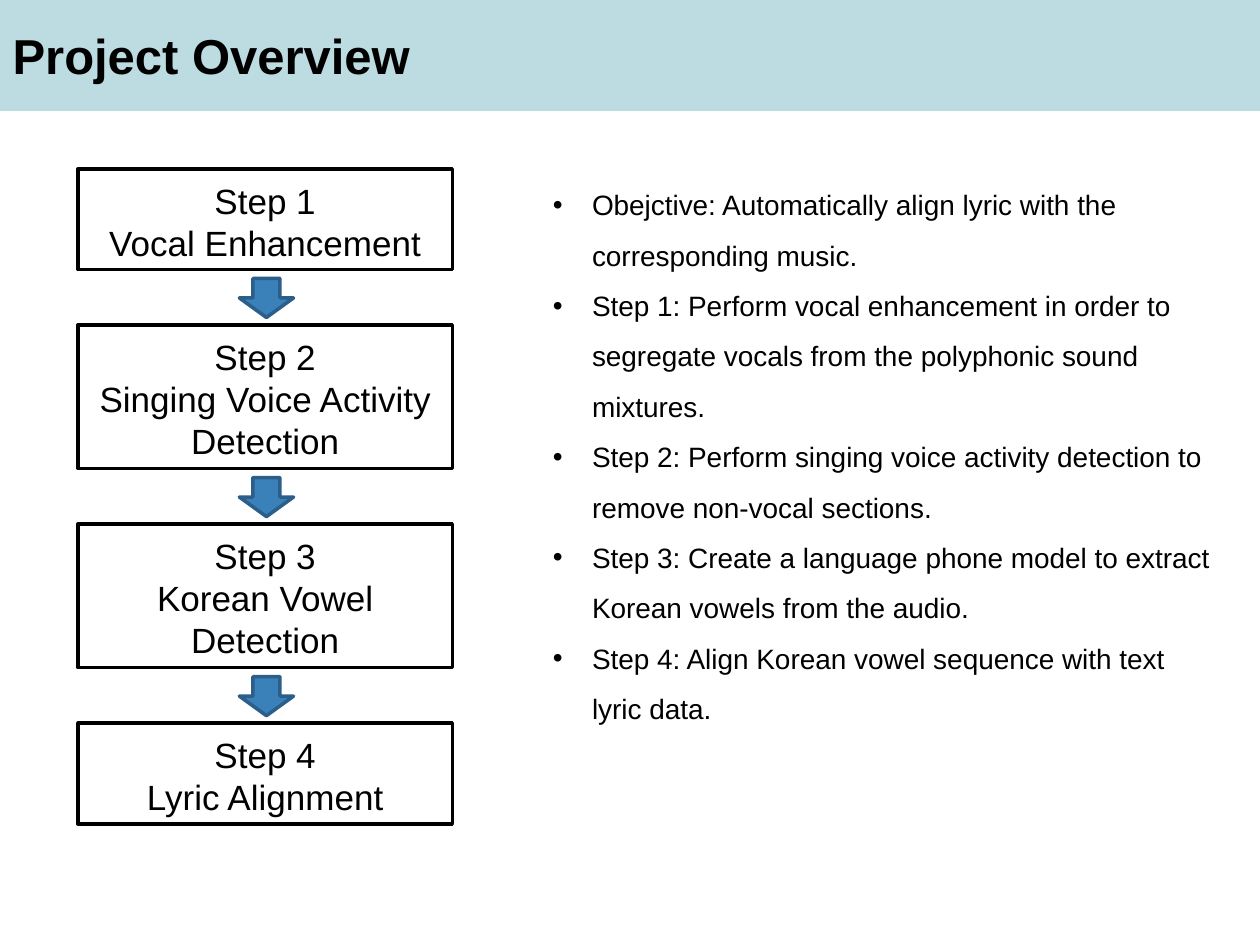
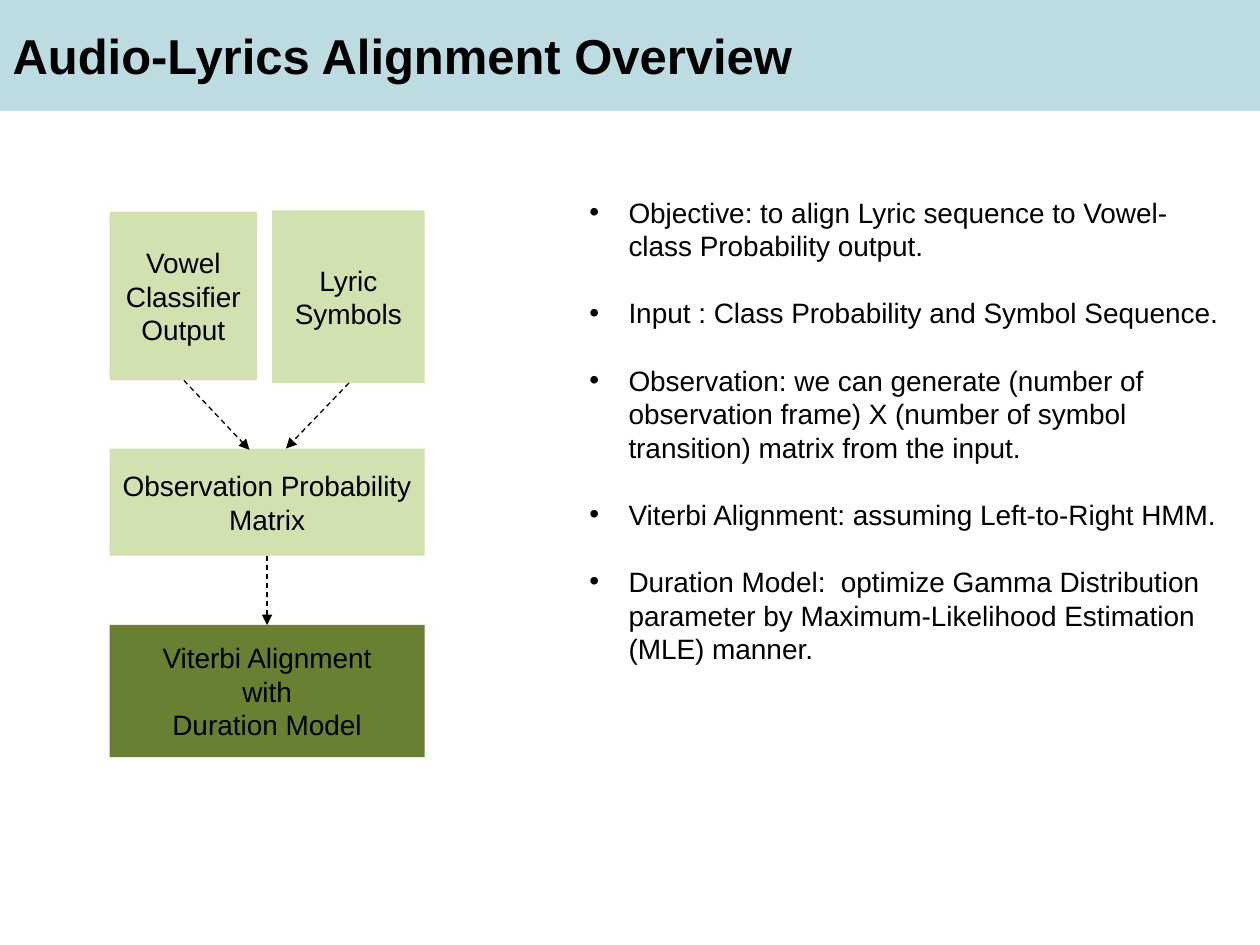
from dataclasses import dataclass

from lxml import etree
from pptx import Presentation
from pptx import util as u
from pptx.dml.color import RGBColor
from pptx.enum import dml, shapes, text
from pptx.oxml import ns


@dataclass(frozen=True)
class Theme:
    font: str = "Arial"
    ink: str = "000000"
    band: str = "BCDCE1"
    arrow: str = "3A81BA"
    arrow_edge: str = "2B5F8A"
    stage: str = "D2E1B0"
    result: str = "688031"
    title_size: float = 28
    step_size: float = 20
    body_size: float = 16
    outline: float = 2
    flow_line: float = 0.75


class Deck:
    def __init__(self, theme):
        self.theme = theme
        self.presentation = Presentation()
        self.presentation.slide_width = u.Inches(10)
        self.presentation.slide_height = u.Inches(7.5)
        self.slide = None

    def add_slide(self, title):
        self.slide = self.presentation.slides.add_slide(self.presentation.slide_layouts[5])
        band = self.slide.shapes.title
        band.left, band.top, band.width, band.height = map(u.Inches, (0, 0, 10, 0.87))
        self.paint(band, self.theme.band, self.theme.band)
        band.text_frame.vertical_anchor = text.MSO_ANCHOR.MIDDLE
        self.set_lines(band, [title], self.theme.title_size, text.PP_ALIGN.LEFT, bold=True)

    def paint(self, shape, fill=None, line=None):
        if fill:
            shape.fill.solid()
            shape.fill.fore_color.rgb = RGBColor.from_string(fill)
        else:
            shape.fill.background()
        if line:
            shape.line.color.rgb = RGBColor.from_string(line)
            shape.line.width = u.Pt(self.theme.outline)
        else:
            shape.line.fill.background()

    def set_lines(self, shape, lines, size, alignment, bold=False, bullet=False, spacing=None, gap=0):
        frame = shape.text_frame
        frame.word_wrap = True
        for index, line in enumerate(lines):
            paragraph = frame.add_paragraph() if index else frame.paragraphs[0]
            paragraph.text = line
            paragraph.alignment = alignment
            if spacing:
                paragraph.line_spacing = spacing
            if index and gap:
                paragraph.space_before = u.Pt(gap)
            if bullet:
                self.add_bullet(paragraph)
            font = paragraph.font
            font.name, font.size, font.bold = self.theme.font, u.Pt(size), bold
            font.color.rgb = RGBColor.from_string(self.theme.ink)

    def add_bullet(self, paragraph):
        properties = paragraph._p.get_or_add_pPr()
        indent = u.Inches(0.31)
        properties.set("marL", str(indent))
        properties.set("indent", str(-indent))
        etree.SubElement(properties, ns.qn("a:buFont"), typeface=self.theme.font)
        etree.SubElement(properties, ns.qn("a:buChar"), char="•")

    def add_preset(self, kind, left, top, width, height, fill=None, line=None):
        shape = self.slide.shapes.add_shape(kind, *map(u.Inches, (left, top, width, height)))
        shape.shadow.inherit = False
        self.paint(shape, fill, line)
        return shape

    def add_box(self, left, top, width, height, lines, size, fill=None, line=None):
        box = self.add_preset(shapes.MSO_SHAPE.RECTANGLE, left, top, width, height, fill, line)
        box.text_frame.vertical_anchor = text.MSO_ANCHOR.MIDDLE
        self.set_lines(box, lines, size, text.PP_ALIGN.CENTER)
        return box

    def add_step(self, left, top, width, height, lines):
        step = self.add_box(left, top, width, height, lines, self.theme.step_size, line=self.theme.ink)
        step.text_frame.margin_top = u.Inches(0.08)

    def add_down_arrow(self, left, top):
        self.add_preset(shapes.MSO_SHAPE.DOWN_ARROW, left, top, 0.43, 0.31,
                        self.theme.arrow, self.theme.arrow_edge)

    def add_flow(self, start, end):
        flow = self.slide.shapes.add_connector(
            shapes.MSO_CONNECTOR.STRAIGHT, *map(u.Inches, start + end))
        flow.line.color.rgb = RGBColor.from_string(self.theme.ink)
        flow.line.width = u.Pt(self.theme.flow_line)
        flow.line.dash_style = dml.MSO_LINE.DASH
        properties = flow._element.spPr
        etree.SubElement(properties.find(ns.qn("a:ln")), ns.qn("a:tailEnd"), type="triangle")
        etree.SubElement(properties, ns.qn("a:effectLst"))

    def add_bullets(self, left, top, width, height, lines, spacing=None, gap=0):
        box = self.slide.shapes.add_textbox(*map(u.Inches, (left, top, width, height)))
        self.set_lines(box, lines, self.theme.body_size, text.PP_ALIGN.LEFT,
                       bullet=True, spacing=spacing, gap=gap)


def build_project_overview(deck):
    deck.add_slide("Project Overview")
    steps = [
        ["Step 1", "Vocal Enhancement"],
        ["Step 2", "Singing Voice Activity", "Detection"],
        ["Step 3", "Korean Vowel", "Detection"],
        ["Step 4", "Lyric Alignment"],
    ]
    top = 1.34
    for index, lines in enumerate(steps):
        if index:
            deck.add_down_arrow(1.9, top - 0.37)
        height = 0.12 + 0.34 * len(lines)
        deck.add_step(0.62, top, 2.97, height, lines)
        top += height + 0.44
    deck.add_bullets(4.29, 1.31, 5.45, 4.54, [
        "Obejctive: Automatically align lyric with the corresponding music.",
        "Step 1: Perform vocal enhancement in order to segregate vocals from the polyphonic sound mixtures.",
        "Step 2: Perform singing voice activity detection to remove non-vocal sections.",
        "Step 3: Create a language phone model to extract Korean vowels from the audio.",
        "Step 4: Align Korean vowel sequence with text lyric data.",
    ], spacing=1.5)


def build_alignment_overview(deck):
    theme = deck.theme
    deck.add_slide("Audio-Lyrics Alignment Overview")
    stages = [
        (2.16, 1.67, 1.21, 1.37, ["Lyric Symbols"], theme.stage),
        (0.87, 1.68, 1.17, 1.34, ["Vowel Classifier", "Output"], theme.stage),
        (0.87, 3.56, 2.5, 0.85, ["Observation Probability Matrix"], theme.stage),
        (0.87, 4.96, 2.5, 1.05, ["Viterbi Alignment", "with", "Duration Model"], theme.result),
    ]
    for left, top, width, height, lines, fill in stages:
        deck.add_box(left, top, width, height, lines, theme.body_size, fill)
    flows = [
        ((2.77, 3.04), (2.27, 3.56)),
        ((1.46, 3.02), (1.98, 3.57)),
        ((2.12, 4.41), (2.12, 4.96)),
    ]
    for start, end in flows:
        deck.add_flow(start, end)
    deck.add_bullets(4.58, 1.5, 5.22, 3.87, [
        "Objective: to align Lyric sequence to Vowel-class Probability output.",
        "Input : Class Probability and Symbol Sequence.",
        "Observation: we can generate (number of observation frame) X (number of symbol transition) "
        "matrix from the input.",
        "Viterbi Alignment: assuming Left-to-Right HMM.",
        "Duration Model:  optimize Gamma Distribution parameter by Maximum-Likelihood Estimation "
        "(MLE) manner.",
    ], gap=19.2)


def main():
    deck = Deck(Theme())
    build_project_overview(deck)
    build_alignment_overview(deck)
    deck.presentation.save("out.pptx")


if __name__ == "__main__":
    main()
